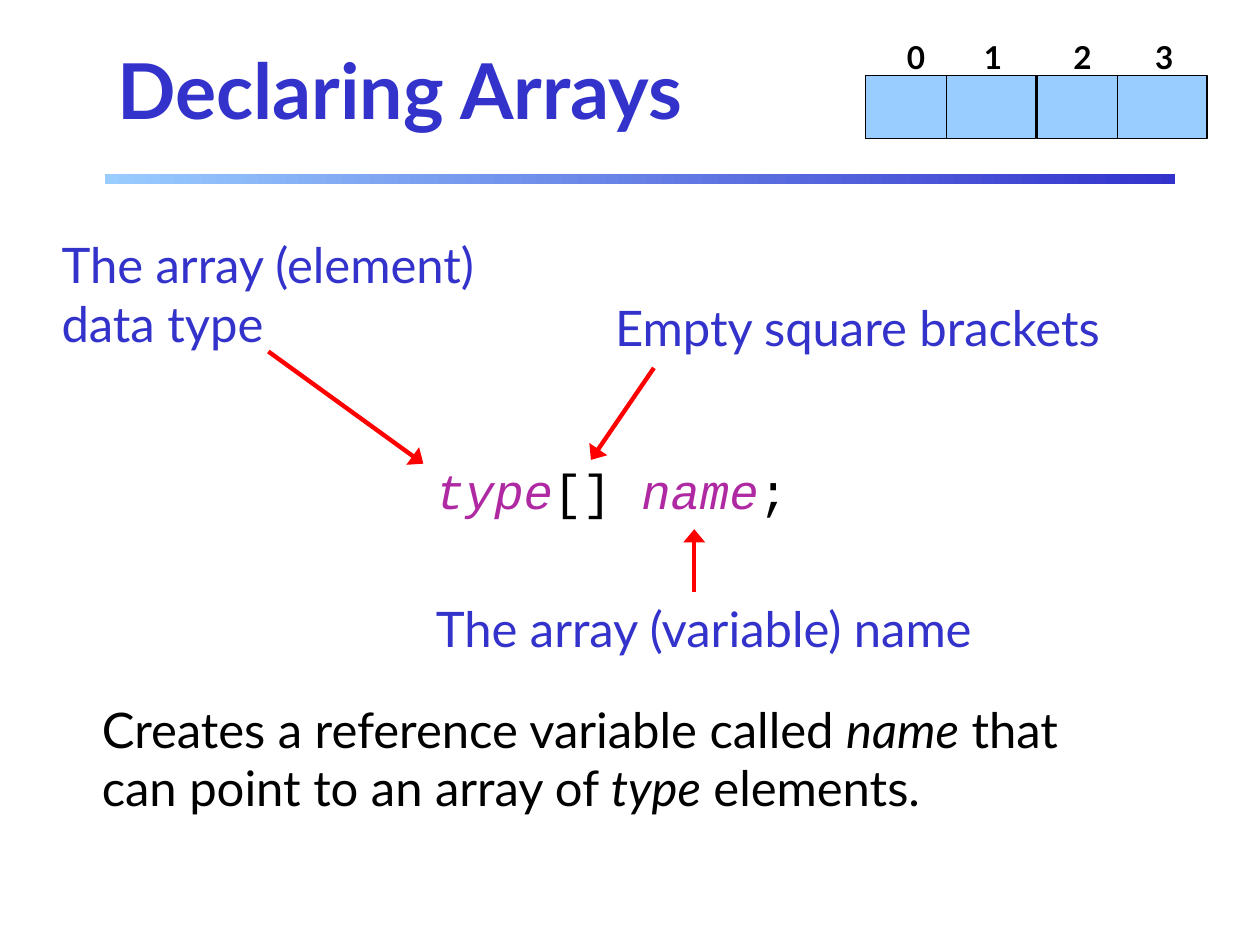
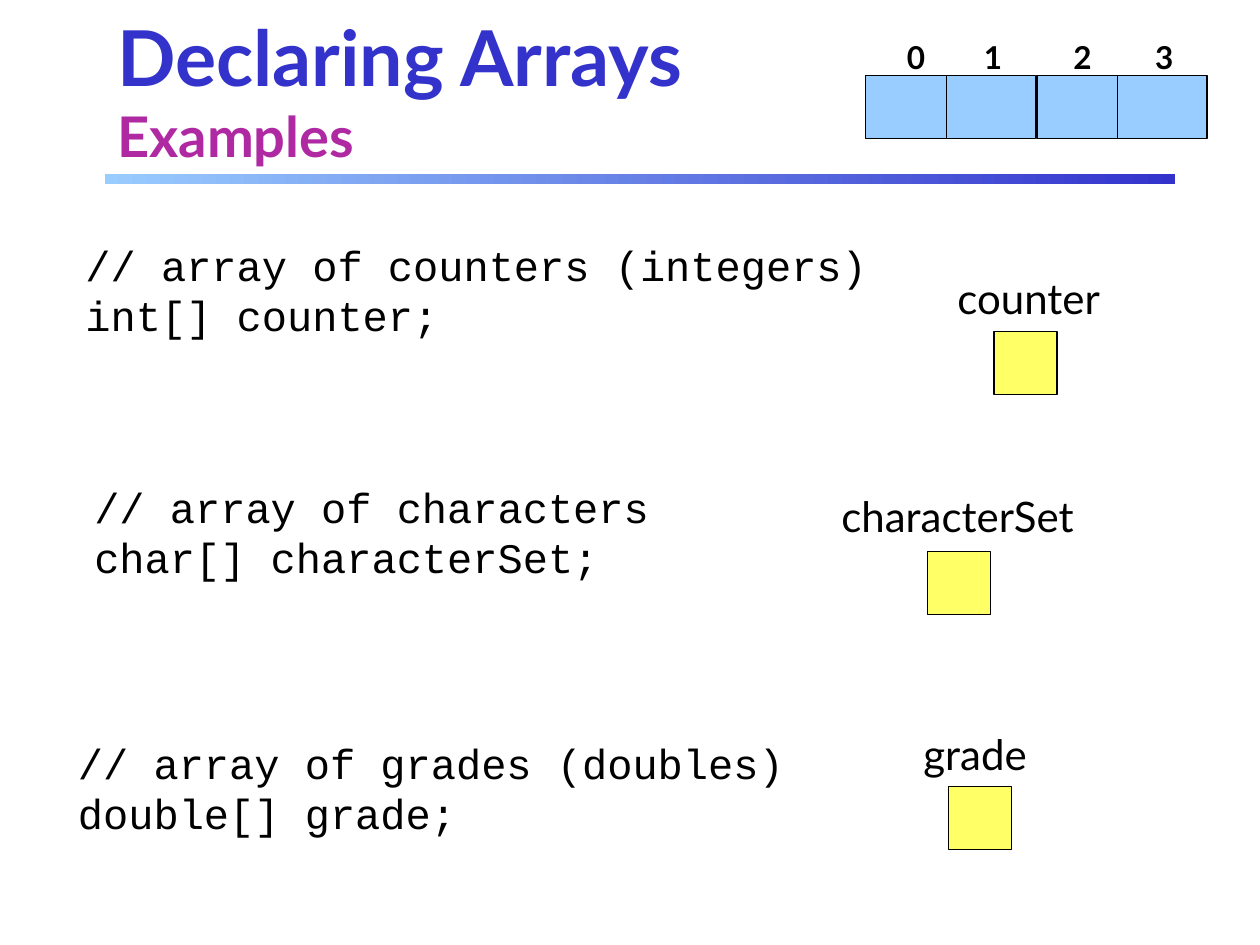
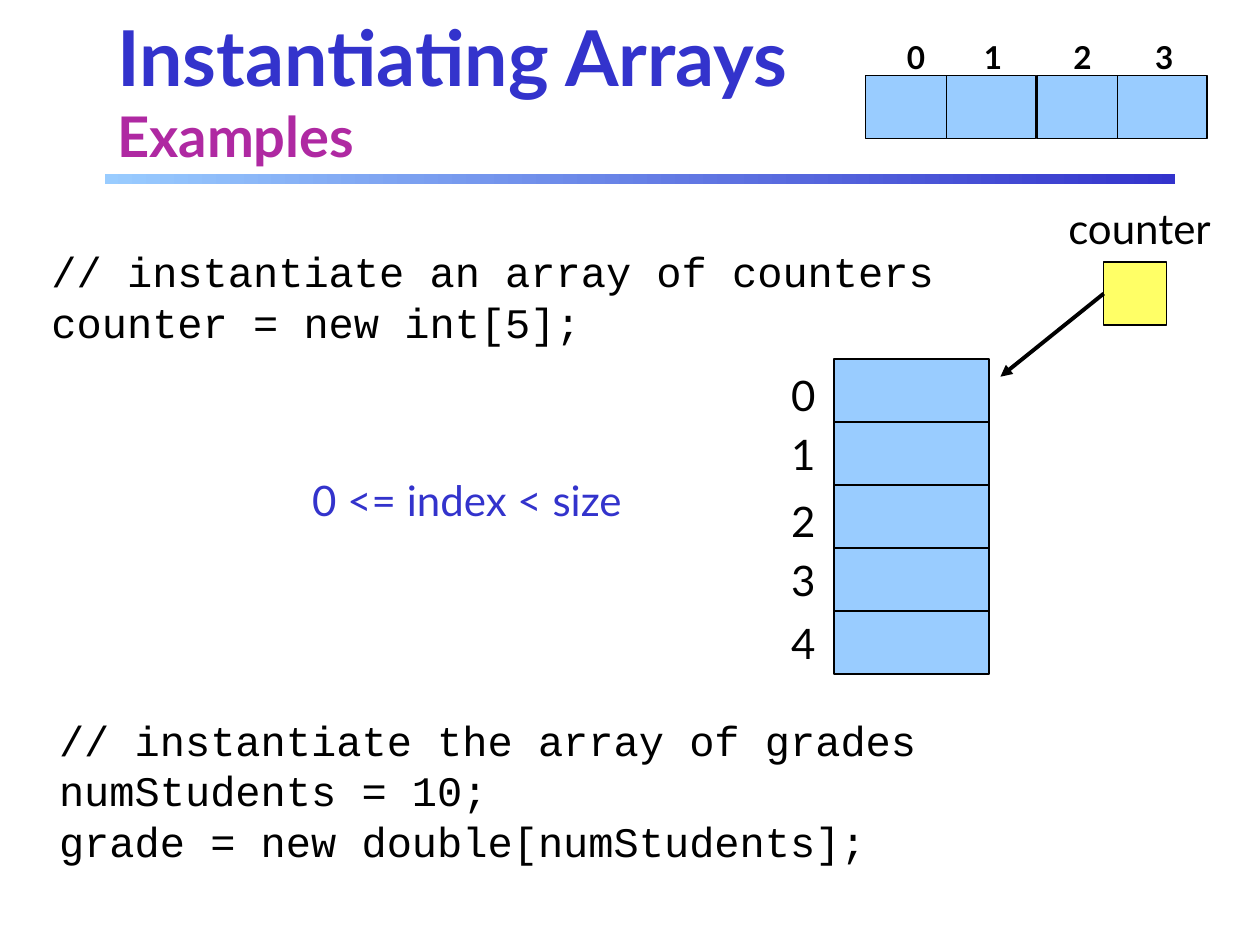
from dataclasses import dataclass
from pptx import Presentation
from pptx.dml.color import RGBColor
from pptx.enum.shapes import MSO_CONNECTOR, MSO_SHAPE
from pptx.enum.text import MSO_ANCHOR, MSO_AUTO_SIZE, PP_ALIGN
from pptx.util import Inches, Pt
from lxml.etree import SubElement
from pptx.oxml.ns import qn


@dataclass(frozen=True)
class Theme:
    blue: str = "3333CC"
    sky: str = "99CCFF"
    plum: str = "AF29A2"
    gold: str = "FFFF66"
    red: str = "FF0000"
    black: str = "000000"
    sans: str = "Lato"
    mono: str = "Courier New"
    head: int = 44
    sub: int = 32
    body: int = 28
    code: int = 24
    small: int = 18


look = Theme()


def write(host, text, at, area=None, size=look.code, font=look.sans,
          color=look.black, bold=False, align=PP_ALIGN.LEFT,
          anchor=MSO_ANCHOR.TOP, wrap=False, fit=MSO_AUTO_SIZE.SHAPE_TO_FIT_TEXT,
          accent=None, slant=False):
    spot = [Inches(n) for n in at]
    area = area or host.add_textbox(*spot)
    area.left, area.top, area.width, area.height = spot
    frame = area.text_frame
    frame.word_wrap, frame.auto_size = wrap, fit
    frame.vertical_anchor = anchor
    for row, line in enumerate(text.split("\n")):
        para = frame.add_paragraph() if row else frame.paragraphs[0]
        para.alignment = align
        for part, piece in enumerate(line.split("*")):
            if not piece:
                continue
            marked = part % 2 == 1
            if piece.startswith("\v"):
                para.add_line_break()
            run = para.add_run()
            run.text = piece.lstrip("\v")
            style = run.font
            style.name, style.bold = font, bold
            style.italic = marked and slant
            style.size = Pt(look.sub if marked and area.is_placeholder else size)
            style.color.rgb = RGBColor.from_string(accent if marked and accent else color)


def box(host, at, fill):
    cell = host.add_shape(MSO_SHAPE.RECTANGLE, *[Inches(n) for n in at])
    cell.shadow.inherit = False
    cell.fill.solid()
    cell.fill.fore_color.rgb = RGBColor.from_string(fill)
    cell.line.color.rgb = RGBColor.from_string(look.black)
    cell.line.width = Pt(0.75)
    return cell


deck = Presentation()
deck.slide_width, deck.slide_height = Inches(10), Inches(7.5)

titles = ["Declaring Arrays", "Declaring Arrays*\vExamples*", "Instantiating Arrays*\vExamples*"]
cells = [(6.87, 0.65, 7.1), (7.51, 0.71, 7.71), (8.23, 0.65, 8.42), (8.87, 0.71, 9.07)]
pages = []
for title in titles:
    page = deck.slides.add_slide(deck.slide_layouts[5])
    pages.append(page)
    write(page.shapes, title, (0.83, 0.08, 8.5, 1.25), area=page.shapes.title,
          size=look.head, color=look.blue, bold=True, anchor=MSO_ANCHOR.MIDDLE,
          wrap=True, fit=MSO_AUTO_SIZE.NONE, accent=look.plum)
    strip = page.shapes.add_group_shape().shapes
    for index, (left, width, label) in enumerate(cells):
        box(strip, (left, 0.6, width, 0.5), look.sky)
        write(strip, str(index), (label, 0.25, 0.34, 0.4), size=look.small, bold=True)

first, second, third = pages

band = box(first.shapes, (0.83, 1.38, 8.5, 0.08), look.blue)
band.line.fill.background()
band.fill.gradient()
band.fill.gradient_angle = 0
for stop, tone in zip(band.fill.gradient_stops, (look.sky, look.blue)):
    stop.color.rgb = RGBColor.from_string(tone)
deck.slide_master.element.cSld.spTree.append(band.element)

write(first.shapes, "*type*[] *name*;", (3.36, 3.6, 3.1, 0.57), size=look.body,
      font=look.mono, anchor=MSO_ANCHOR.MIDDLE, accent=look.plum, slant=True)
notes = [
    ("The array (element) data type", (0.39, 1.81, 4.22, 1.04), PP_ALIGN.LEFT, True),
    ("Empty square brackets", (4.62, 2.31, 4.37, 0.57), PP_ALIGN.CENTER, False),
    ("The array (variable) name", (3.16, 4.7, 4.85, 0.57), PP_ALIGN.CENTER, False),
]
for text, at, align, wrap in notes:
    write(first.shapes, text, at, size=look.body, color=look.blue, align=align,
          anchor=MSO_ANCHOR.MIDDLE, wrap=wrap)
write(first.shapes,
      "Creates a reference variable called *name* that can point to an array of *type* elements.",
      (0.71, 5.5, 8.34, 1.04), size=look.body, wrap=True, slant=True)

codes = [
    (second, "// array of counters (integers)\nint[] counter;", (0.58, 1.85, 8.67, 0.9)),
    (second, "// array of characters\nchar[] characterSet;", (0.65, 3.77, 4.66, 0.9)),
    (second, "// array of grades (doubles)\ndouble[] grade;", (0.52, 5.8, 5.91, 0.9)),
    (third, "// instantiate an array of counters\ncounter = new int[5];", (0.31, 1.9, 7.31, 0.9)),
    (third, "// instantiate the array of grades\nnumStudents = 10;\ngrade = new double[numStudents];",
     (0.37, 5.62, 7.11, 1.3)),
]
for page, text, at in codes:
    write(page.shapes, text, at, font=look.mono, anchor=MSO_ANCHOR.MIDDLE, wrap=True)

names = [
    (second, "counter", (7.5, 2.11, 1.42, 0.5), (7.89, 2.63)),
    (second, "characterSet", (6.58, 3.84, 2.17, 0.5), (7.36, 4.38)),
    (second, "grade", (7.23, 5.73, 1.12, 0.5), (7.53, 6.24)),
    (third, "counter", (8.38, 1.56, 1.42, 0.5), (8.76, 2.08)),
]
for page, text, at, corner in names:
    group = page.shapes.add_group_shape().shapes
    write(group, text, at)
    holder = box(group, (*corner, 0.5, 0.5), look.gold)

stack = third.shapes.add_group_shape().shapes
for index, top in enumerate((2.88, 3.35, 3.88, 4.35, 4.85)):
    box(stack, (6.62, 2.85 + index * 0.5, 1.23, 0.5), look.sky)
    write(stack, str(index), (6.18, top, 0.39, 0.5))
write(third.shapes, "0 <= index < size", (2.38, 3.72, 2.76, 0.5), color=look.blue)

arrows = [
    (first, (2.13, 2.79, 3.36, 3.68), look.red, 2.5, "lg", None),
    (first, (5.19, 2.92, 4.69, 3.65), look.red, 2.5, "lg", None),
    (first, (5.51, 4.7, 5.51, 4.2), look.red, 2.5, "lg", None),
    (third, (8.76, 2.33, 7.94, 2.99), look.black, 2.25, "med", holder),
]
for page, ends, color, width, tip, source in arrows:
    arrow = page.shapes.add_connector(MSO_CONNECTOR.STRAIGHT, *[Inches(n) for n in ends])
    if source:
        arrow.begin_connect(source, 1)
    arrow.line.color.rgb = RGBColor.from_string(color)
    arrow.line.width = Pt(width)
    props = arrow.element.spPr
    SubElement(props.find(qn("a:ln")), qn("a:tailEnd"), type="triangle", w=tip)
    SubElement(props, qn("a:effectLst"))

deck.save("out.pptx")
